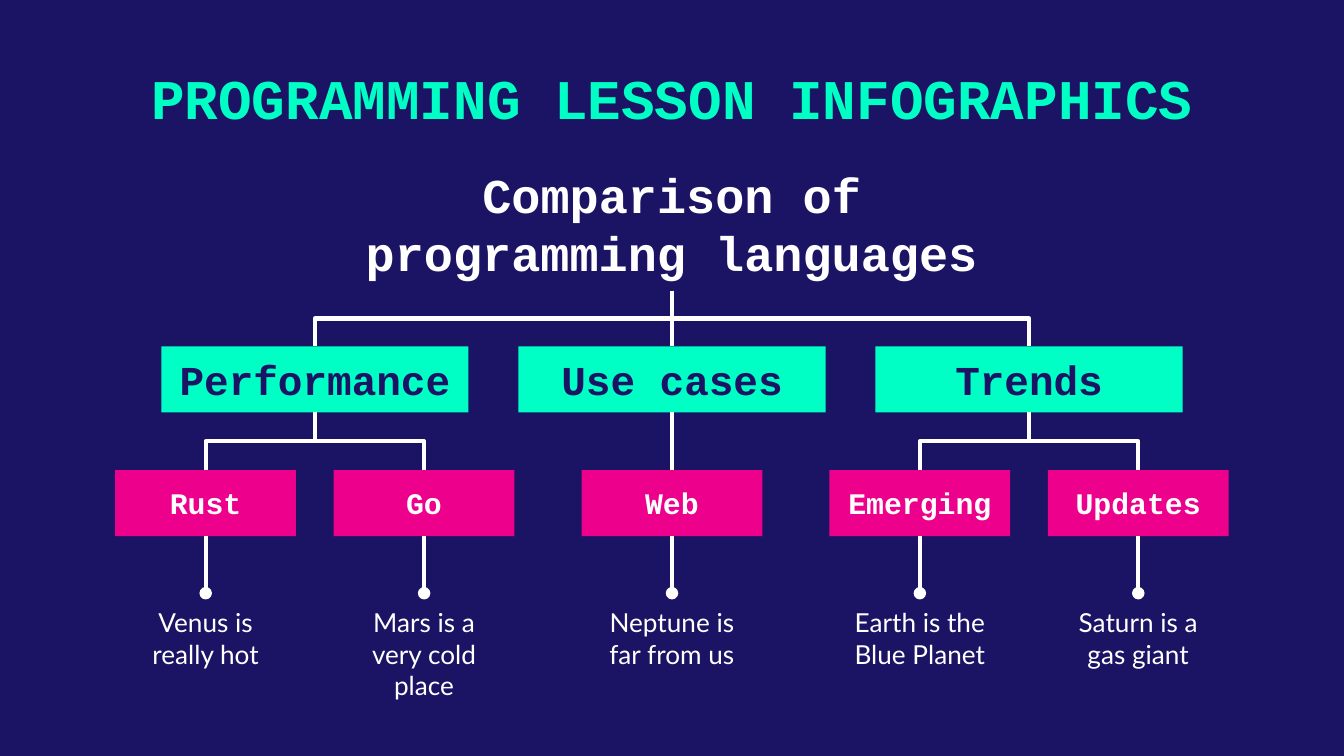
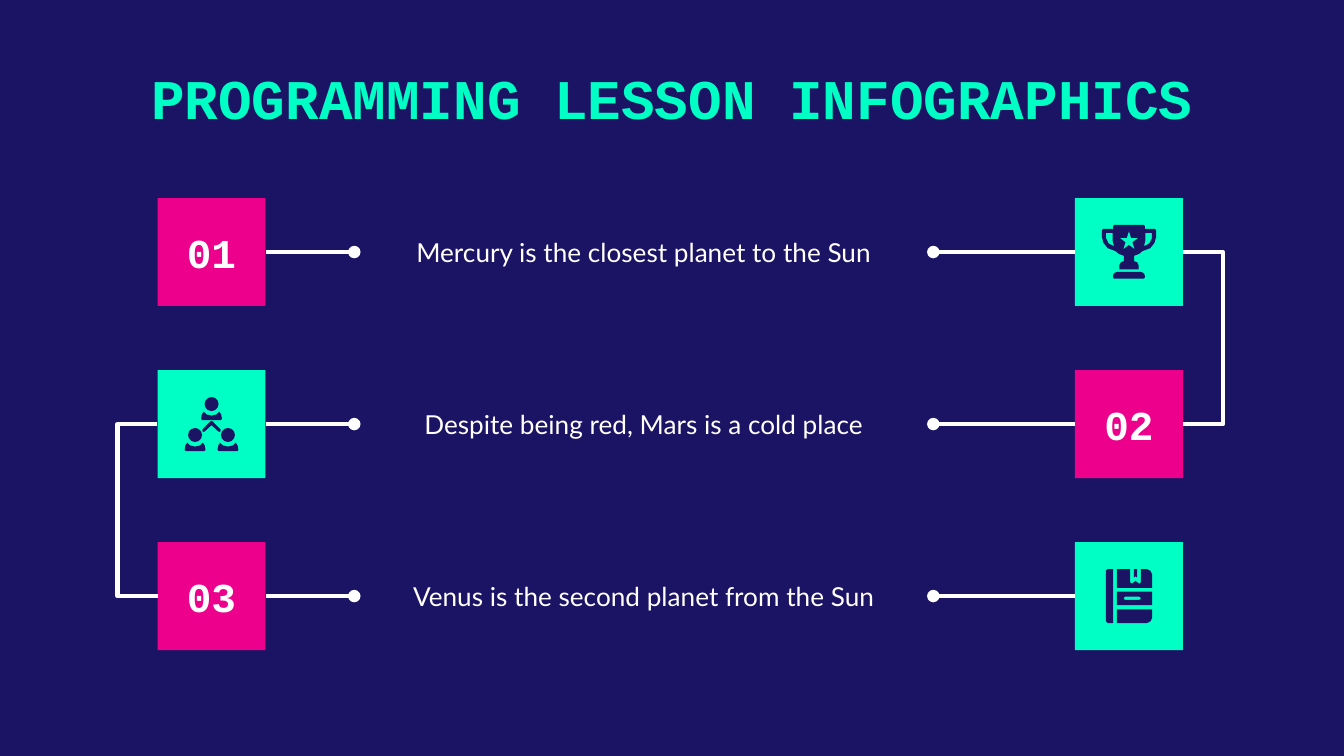
from dataclasses import dataclass
from typing import Sequence

from lxml.etree import SubElement
from pptx import Presentation
from pptx.dml.color import RGBColor
from pptx.enum.shapes import MSO_CONNECTOR as LINK, MSO_SHAPE as SHAPE
from pptx.enum.text import MSO_ANCHOR as ANCHOR, MSO_AUTO_SIZE as AUTO_SIZE, PP_ALIGN as ALIGN
from pptx.oxml.ns import qn
from pptx.shapes.autoshape import Shape
from pptx.shapes.connector import Connector
from pptx.slide import Slide
from pptx.util import Pt

COLORS = {"navy": "1B1464", "mint": "00FFC5", "pink": "EC008C", "white": "FFFFFF"}
CODE_FONT, BODY_FONT = "Courier New", "Lato"
TITLE = "PROGRAMMING LESSON INFOGRAPHICS"
INSET = 7.2
TOP, LEFT, BOTTOM, RIGHT = range(4)

Point = tuple[float, float]
Outline = Sequence[Point]


@dataclass(frozen=True)
class Box:
    left: float
    top: float
    width: float
    height: float

    def lengths(self) -> tuple[Pt, ...]:
        return Pt(self.left), Pt(self.top), Pt(self.width), Pt(self.height)


@dataclass(frozen=True)
class Leaf:
    label: str
    caption: str


@dataclass(frozen=True)
class Topic:
    label: str
    leaves: tuple[Leaf, ...]


@dataclass(frozen=True)
class Step:
    number: str
    fact: str
    number_on_left: bool


TOPICS = (
    Topic("Performance", (Leaf("Rust", "Venus is really hot"),
                          Leaf("Go", "Mars is a very cold place"))),
    Topic("Use cases", (Leaf("Web", "Neptune is far from us"),)),
    Topic("Trends", (Leaf("Emerging", "Earth is the Blue Planet"),
                     Leaf("Updates", "Saturn is a gas giant"))),
)
STEPS = (
    Step("01", "Mercury is the closest planet to the Sun", True),
    Step("02", "Despite being red, Mars is a cold place", False),
    Step("03", "Venus is the second planet from the Sun", True),
)

TILE = 57.86
TILE_CENTER = TILE / 2


def color(name: str) -> RGBColor:
    return RGBColor.from_string(COLORS[name])


def write(shape: Shape, text: str, *, size: float, font: str = CODE_FONT, ink: str = "white",
          bold: bool = True, anchor: ANCHOR = ANCHOR.MIDDLE) -> None:
    frame = shape.text_frame
    frame.text = text
    frame.word_wrap = True
    frame.auto_size = AUTO_SIZE.NONE
    frame.vertical_anchor = anchor
    frame.margin_left = frame.margin_right = Pt(INSET)
    frame.margin_top = frame.margin_bottom = Pt(INSET)
    line = frame.paragraphs[0]
    line.alignment = ALIGN.CENTER
    style = line.runs[0].font
    style.name, style.size, style.bold = font, Pt(size), bold
    style.color.rgb = color(ink)


def paint(shape: Shape, fill: str) -> Shape:
    shape.shadow.inherit = False
    shape.fill.solid()
    shape.fill.fore_color.rgb = color(fill)
    shape.line.fill.background()
    return shape


def add_filled(slide: Slide, box: Box, fill: str, preset: SHAPE = SHAPE.RECTANGLE) -> Shape:
    return paint(slide.shapes.add_shape(preset, *box.lengths()), fill)


def add_label(slide: Slide, box: Box, text: str, **style) -> Shape:
    label = slide.shapes.add_textbox(*box.lengths())
    write(label, text, **style)
    return label


def add_outlines(slide: Slide, origin: Point, outlines: Sequence[Outline]) -> None:
    placed = [[(Pt(origin[0] + x), Pt(origin[1] + y)) for x, y in outline]
              for outline in outlines]
    pen = slide.shapes.build_freeform(*placed[0][0])
    pen.add_line_segments(placed[0][1:], close=True)
    for outline in placed[1:]:
        pen.move_to(*outline[0])
        pen.add_line_segments(outline[1:], close=True)
    paint(pen.convert_to_shape(), "navy")


def mirror(outline: Outline, center: float = TILE_CENTER) -> list[Point]:
    return [(2 * center - x, y) for x, y in reversed(outline)]


def link(slide: Slide, start: Shape, start_site: int, end: Shape, end_site: int,
         kind: LINK = LINK.STRAIGHT, dot: bool = False) -> Connector:
    connector = slide.shapes.add_connector(kind, 0, 0, 0, 0)
    connector.begin_connect(start, start_site)
    connector.end_connect(end, end_site)
    connector.line.color.rgb = color("white")
    connector.line.width = Pt(2.25)
    properties = connector._element.spPr
    if dot:
        SubElement(properties.find(qn("a:ln")), qn("a:tailEnd"), type="oval")
    SubElement(properties, qn("a:effectLst"))
    return connector


def orient(connector: Connector, degrees: int, flipped: bool) -> None:
    transform = connector._element.spPr.find(qn("a:xfrm"))
    transform.set("rot", str(degrees * 60000))
    transform.set("flipH", "1" if flipped else "0")
    transform.set("flipV", "0")


def branch(slide: Slide, parent: Shape, child: Shape) -> None:
    parent_x = parent.left + parent.width // 2
    child_x = child.left + child.width // 2
    if abs(child_x - parent_x) < Pt(1):
        link(slide, parent, BOTTOM, child, TOP)
        return
    connector = link(slide, parent, BOTTOM, child, TOP, LINK.ELBOW)
    start_y = parent.top + parent.height
    drop, spread = child.top - start_y, abs(child_x - parent_x)
    connector.left = (parent_x + child_x - drop) // 2
    connector.top = (start_y + child.top - spread) // 2
    connector.width, connector.height = drop, spread
    to_right = child_x > parent_x
    orient(connector, 270 if to_right else 90, flipped=to_right)


def bracket(slide: Slide, upper: Shape, lower: Shape, side: int) -> None:
    connector = link(slide, upper, side, lower, side, LINK.ELBOW)
    width, reach = 0.05, 18.9 if side == RIGHT else -18.9
    connector.left = upper.left + (upper.width if side == RIGHT else 0)
    connector.top = upper.top + upper.height // 2
    connector.width, connector.height = Pt(width), lower.top - upper.top
    orient(connector, 0, flipped=False)
    geometry = connector._element.spPr.find(qn("a:prstGeom"))
    guides = geometry.find(qn("a:avLst"))
    if guides is None:
        guides = SubElement(geometry, qn("a:avLst"))
    SubElement(guides, qn("a:gd"), name="adj1", fmla=f"val {round(reach / width * 100000)}")


def draw_trophy(slide: Slide, origin: Point) -> None:
    cup = [(20.9, 14.4), (20.4, 15.2), (20.4, 16.6), (15, 16.6), (14.4, 17.3), (14.4, 20.9),
           (15.3, 24.1), (17.6, 26.9), (21.6, 28.4), (23.6, 30), (26.2, 31), (26.2, 33.8),
           (24.5, 34.5), (23.8, 36), (23.8, 38.2)]
    handle = [(16.6, 18.7), (20.2, 18.7), (20.2, 23), (20.9, 25.9), (18, 24.3), (16.6, 21.5)]
    base = [(22.3, 39.6), (20.8, 40.4), (20.4, 41.8), (20.4, 42.6), (21, 43.2)]
    add_outlines(slide, origin, [cup + mirror(cup), handle, mirror(handle)])
    add_outlines(slide, origin, [base + mirror(base)])
    star = Box(origin[0] + TILE_CENTER - 4.7, origin[1] + 17.9, 9.4, 9.4)
    add_filled(slide, star, "mint", SHAPE.STAR_5_POINT)


def draw_team(slide: Slide, origin: Point) -> None:
    half = [(0, 8.6), (-5, 8.6), (-5.6, 8), (-5.2, 5.6), (-4.2, 4.1), (-2.6, 5.6), (0, 6.2)]
    shoulders = half + mirror(half, 0)
    radius = 3.75
    for x, y in ((TILE_CENTER, 18.2), (20.1, 34.8), (37.7, 34.8)):
        center = (origin[0] + x, origin[1] + y)
        head = Box(center[0] - radius, center[1] - radius, 2 * radius, 2 * radius)
        add_filled(slide, head, "navy", SHAPE.OVAL)
        add_outlines(slide, center, [shoulders])
    roof = [(28.9, 29.6), (25.2, 33), (24.5, 33.1), (24, 32.6), (24.1, 31.8), (28.4, 27.4)]
    add_outlines(slide, origin, [roof + mirror(roof)])


def draw_book(slide: Slide, origin: Point) -> None:
    spine = [(17.5, 14.5), (20.4, 14.5), (20.4, 43.4), (17.5, 43.4), (16.6, 42.5), (16.6, 15.3)]
    cover = [(22.4, 14.5), (29.5, 14.5), (29.5, 21.6), (30.4, 22.3), (32.4, 20.9), (34.4, 22.3),
             (35.3, 21.6), (35.3, 14.5), (38.6, 14.5), (40.5, 15.5), (41.3, 17.4), (41.3, 24.5),
             (22.4, 24.5)]
    ribbon = [(31.6, 14.5), (33.3, 14.5), (33.3, 19), (32.4, 18.4), (31.6, 19)]
    band = [(22.4, 26.6), (41.3, 26.6), (41.3, 33.8), (22.4, 33.8)]
    slot = [(26.7, 29.3), (34.6, 29.3), (35.3, 30.2), (34.6, 31), (26.7, 31), (26, 30.2)]
    foot = [(22.4, 36), (41.3, 36), (41.3, 40.5), (40.5, 42.4), (38.6, 43.4), (22.4, 43.4)]
    for outlines in ([spine], [cover], [ribbon], [band, slot], [foot]):
        add_outlines(slide, origin, outlines)


def add_titled_slide(deck) -> Slide:
    slide = deck.slides.add_slide(deck.slide_layouts[5])
    title = slide.shapes.title
    title.left, title.top, title.width, title.height = Box(56.5, 27, 607, 52.6).lengths()
    write(title, TITLE, size=30, ink="mint", anchor=ANCHOR.TOP)
    return slide


def build_comparison(deck) -> None:
    slide = add_titled_slide(deck)
    heading = add_label(slide, Box(168.8, 83.7, 382.4, 72),
                        "Comparison of programming languages", size=26)
    bar_height, topic_width, leaf_width = 35.4, 164.6, 96.9
    for column, topic in enumerate(TOPICS):
        topic_x = 360 + (column - 1) * 191.3
        topic_bar = add_filled(slide, Box(topic_x - topic_width / 2, 185.5, topic_width,
                                          bar_height), "mint")
        write(topic_bar, topic.label, size=22, ink="navy")
        branch(slide, heading, topic_bar)
        for place, leaf in enumerate(topic.leaves):
            leaf_left = topic_x + (place - (len(topic.leaves) - 1) / 2) * 117 - leaf_width / 2
            leaf_bar = add_filled(slide, Box(leaf_left, 251.8, leaf_width, bar_height), "pink")
            write(leaf_bar, leaf.label, size=16)
            branch(slide, topic_bar, leaf_bar)
            caption = add_label(slide, Box(leaf_left, 317.8, leaf_width, 44.6), leaf.caption,
                                size=14, font=BODY_FONT, bold=False, anchor=ANCHOR.TOP)
            link(slide, leaf_bar, BOTTOM, caption, TOP, dot=True)


def build_steps(deck) -> None:
    slide = add_titled_slide(deck)
    left_x, right_x, fact_height = 84.4, 575.9, 32.4
    rows = []
    for row, (step, draw_icon) in enumerate(zip(STEPS, (draw_trophy, draw_team, draw_book))):
        top = 106.1 + row * 92.15
        number_x, icon_x = (left_x, right_x) if step.number_on_left else (right_x, left_x)
        number = add_filled(slide, Box(number_x, top, TILE, TILE), "pink")
        write(number, step.number, size=22)
        icon_tile = add_filled(slide, Box(icon_x, top, TILE, TILE), "mint")
        draw_icon(slide, (icon_x, top))
        fact = add_label(slide, Box(189.8, top + (TILE - fact_height) / 2, 310.2, fact_height),
                         step.fact, size=14, font=BODY_FONT, bold=False)
        ends = (number, icon_tile) if step.number_on_left else (icon_tile, number)
        link(slide, ends[0], RIGHT, fact, LEFT, dot=True)
        link(slide, ends[1], LEFT, fact, RIGHT, dot=True)
        rows.append(ends)
    bracket(slide, rows[0][1], rows[1][1], RIGHT)
    bracket(slide, rows[1][0], rows[2][0], LEFT)


def main() -> None:
    """Build the comparison tree and the numbered steps of the programming lesson."""
    deck = Presentation()
    deck.slide_width, deck.slide_height = Pt(720), Pt(405)
    backdrop = deck.slide_master.background.fill
    backdrop.solid()
    backdrop.fore_color.rgb = color("navy")
    build_comparison(deck)
    build_steps(deck)
    deck.save("out.pptx")


if __name__ == "__main__":
    main()
